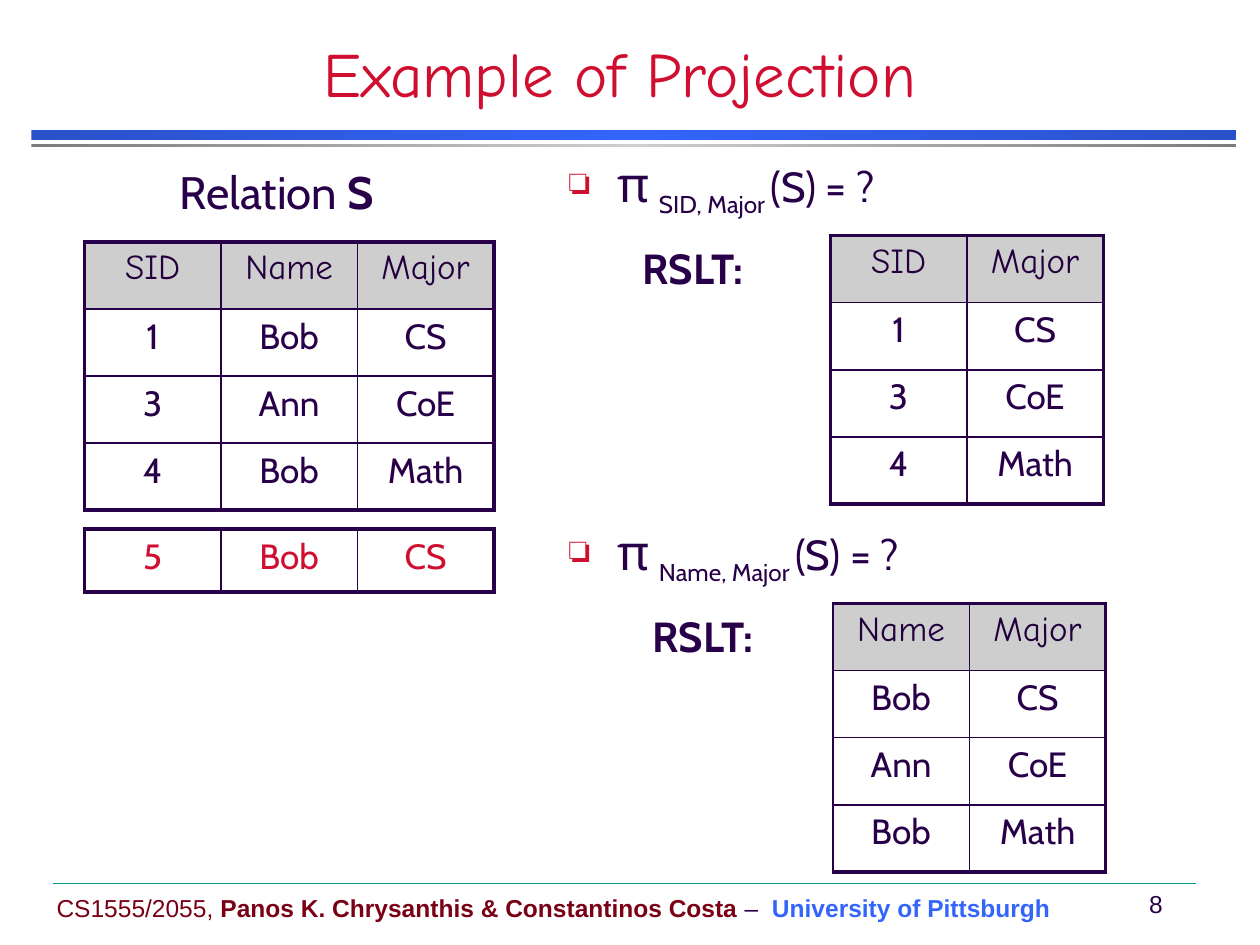
"""Build a slide that shows relational projection with a source table and two results."""
from copy import deepcopy
from dataclasses import dataclass

from lxml import etree
from pptx import Presentation
from pptx.dml.color import RGBColor
from pptx.enum.shapes import MSO_CONNECTOR, MSO_SHAPE
from pptx.enum.text import MSO_ANCHOR, PP_ALIGN
from pptx.oxml.ns import qn
from pptx.util import Inches, Pt

RECTANGLE = MSO_SHAPE.RECTANGLE
STRAIGHT = MSO_CONNECTOR.STRAIGHT
LEFT, CENTER = PP_ALIGN.LEFT, PP_ALIGN.CENTER
TOP, MIDDLE, BOTTOM = MSO_ANCHOR.TOP, MSO_ANCHOR.MIDDLE, MSO_ANCHOR.BOTTOM


@dataclass(frozen=True)
class Theme:
    ink: str = "280049"
    header_ink: str = "21003D"
    red: str = "CF0E30"
    maroon: str = "790015"
    blue: str = "3365FB"
    dark_blue: str = "2951C9"
    gray: str = "CECECE"
    dark_gray: str = "7C7C7C"
    teal: str = "009688"
    hand: str = "Comic Neue"
    body: str = "Cabin"
    plain: str = "Arial"
    title_size: int = 36
    pi_size: int = 28
    relation_size: int = 26
    body_size: int = 24
    cell_size: int = 20
    footer_size: int = 14
    thick: float = 2.25
    thin: float = 1


theme = Theme()
WIDTH, HEIGHT = 10, 7.5
COLUMN, ROW = 3.25 / 3, 2.13 / 4
RESULT_STEP = 2.92

presentation = Presentation()
presentation.slide_width, presentation.slide_height = Inches(WIDTH), Inches(HEIGHT)
slide = presentation.slides.add_slide(presentation.slide_layouts[6])


def write(frame, runs, font, align=LEFT, anchor=TOP, wrap=False):
    """Fill a text frame with (text, size, colour, bold) runs."""
    frame.word_wrap = wrap
    frame.vertical_anchor = anchor
    paragraph = frame.paragraphs[0]
    paragraph.alignment = align
    for text, size, color, bold in runs:
        run = paragraph.add_run()
        run.text = text
        run.font.name = font
        run.font.size = Pt(size)
        run.font.bold = bold
        run.font.color.rgb = RGBColor.from_string(color)
    return paragraph


def add_grid(left, top, row_height, rows, left_border, header=True):
    """Add a table with a thick frame and thin inner lines."""
    last_row, last_column = len(rows) - 1, len(rows[0]) - 1
    table = slide.shapes.add_table(
        len(rows), len(rows[0]), Inches(left), Inches(top),
        Inches(COLUMN * len(rows[0])), Inches(row_height * len(rows))).table
    table.first_row = table.horz_banding = False
    for row_index, row in enumerate(rows):
        for column_index, text in enumerate(row):
            cell = table.cell(row_index, column_index)
            is_header = header and row_index == 0
            color = theme.header_ink if is_header else theme.ink if header else theme.red
            font = theme.hand if is_header else theme.body
            paragraph = write(cell.text_frame, [(text, theme.cell_size, color, False)],
                              font, CENTER, wrap=True)
            paragraph.space_before = Pt(theme.cell_size * 0.2)
            borders = {
                "a:lnL": theme.thin if column_index else left_border,
                "a:lnR": theme.thick if column_index == last_column else theme.thin,
                "a:lnT": theme.thin if row_index else theme.thick,
                "a:lnB": theme.thick if row_index == last_row else theme.thin,
            }
            properties = cell._tc.get_or_add_tcPr()
            for tag, width in borders.items():
                line = etree.SubElement(properties, qn(tag), w=str(Pt(width)))
                fill = etree.SubElement(line, qn("a:solidFill"))
                etree.SubElement(fill, qn("a:srgbClr"), val=theme.ink)
            if is_header:
                cell.fill.solid()
                cell.fill.fore_color.rgb = RGBColor.from_string(theme.gray)
            else:
                cell.fill.background()


for top, height, edge, middle in [(1.03, 0.08, theme.dark_blue, theme.blue),
                                  (1.14, 0.03, theme.dark_gray, theme.gray)]:
    bar = slide.shapes.add_shape(RECTANGLE, Inches(0.25), Inches(top),
                                 Inches(9.56), Inches(height))
    bar.shadow.inherit = False
    bar.line.fill.background()
    bar.fill.gradient()
    bar.fill.gradient_angle = 0
    stop_list = bar.element.spPr.find(qn("a:gradFill")).find(qn("a:gsLst"))
    stop_list.append(deepcopy(stop_list[0]))
    for stop, position, color in zip(bar.fill.gradient_stops, (0, 0.5, 1), (edge, middle, edge)):
        stop.position = position
        stop.color.rgb = RGBColor.from_string(color)

footer_line = slide.shapes.add_connector(STRAIGHT, Inches(0.42), Inches(7.01),
                                         Inches(9.49), Inches(7.01))
footer_line.line.color.rgb = RGBColor.from_string(theme.teal)
footer_line.line.width = Pt(0.25)
etree.SubElement(footer_line.element.spPr, qn("a:effectLst"))

footer_runs = [
    ("CS1555/2055, ", theme.footer_size, theme.maroon, False),
    ("Panos K. Chrysanthis & Constantinos Costa", theme.footer_size, theme.maroon, True),
    (" –  ", theme.footer_size, theme.ink, False),
    ("University of Pittsburgh", theme.footer_size, theme.blue, True),
]
labels = [
    (0.67, 0.17, 8.5, 0.75, [("Example of Projection", theme.title_size, theme.red, False)],
     theme.hand, CENTER, BOTTOM),
    (1.33, 1.3, 1.84, 0.5, [("Relation ", theme.relation_size, theme.ink, False),
                            ("S", theme.relation_size, theme.ink, True)],
     theme.body, LEFT, TOP),
    (0.35, 7.04, 8.11, 0.33, footer_runs, theme.plain, LEFT, MIDDLE),
    (8.93, 7.01, 0.49, 0.33, [("8", theme.footer_size, theme.ink, False)],
     theme.plain, CENTER, MIDDLE),
]
for left, top, width, height, runs, font, align, anchor in labels:
    label = slide.shapes.add_textbox(Inches(left), Inches(top), Inches(width), Inches(height))
    paragraph = write(label.text_frame, runs, font, align, anchor)
    if font == theme.body:
        paragraph.line_spacing = 0.9

add_grid(0.67, 1.92, ROW, [("SID", "Name", "Major"), ("1", "Bob", "CS"),
                           ("3", "Ann", "CoE"), ("4", "Bob", "Math")], theme.thick)
add_grid(0.67, 4.2, 0.5, [("5", "Bob", "CS")], theme.thick, header=False)

projections = [
    ("SID", ("1", "3", "4"), 5, 6.59, theme.thick),
    ("Name", ("Bob", "Ann", "Bob"), 5.08, 6.61, theme.thin),
]
for index, (attribute, values, label_left, table_left, left_border) in enumerate(projections):
    offset = index * RESULT_STEP
    question = slide.shapes.add_textbox(Inches(4.42), Inches(1.17 + offset),
                                        Inches(5.5), Inches(0.6))
    paragraph = write(question.text_frame, [
        ("π", theme.pi_size, theme.ink, False),
        (" ", theme.body_size, theme.ink, False),
        (f"{attribute}, Major ", theme.body_size, theme.ink, False),
        ("(S) = ?", theme.body_size, theme.ink, False)], theme.body, wrap=True)
    paragraph.space_before = Pt(theme.pi_size * 0.2)
    paragraph.runs[2].font._element.set("baseline", "-25000")
    properties = paragraph._p.get_or_add_pPr()
    properties.set("marL", str(Inches(0.38)))
    properties.set("indent", str(Inches(-0.38)))
    bullet_color = etree.SubElement(properties, qn("a:buClr"))
    etree.SubElement(bullet_color, qn("a:srgbClr"), val=theme.red)
    etree.SubElement(properties, qn("a:buSzPct"), val="75000")
    etree.SubElement(properties, qn("a:buChar"), char="❏")

    result = slide.shapes.add_textbox(Inches(label_left), Inches(1.92 + offset),
                                      Inches(1.18), Inches(0.46))
    paragraph = write(result.text_frame, [("RSLT:", theme.body_size, theme.ink, True)], theme.body)
    paragraph.line_spacing = 0.9

    rows = [(attribute, "Major"), *zip(values, ("CS", "CoE", "Math"))]
    add_grid(table_left, 1.87 + offset, ROW, rows, left_border)

presentation.save("out.pptx")
